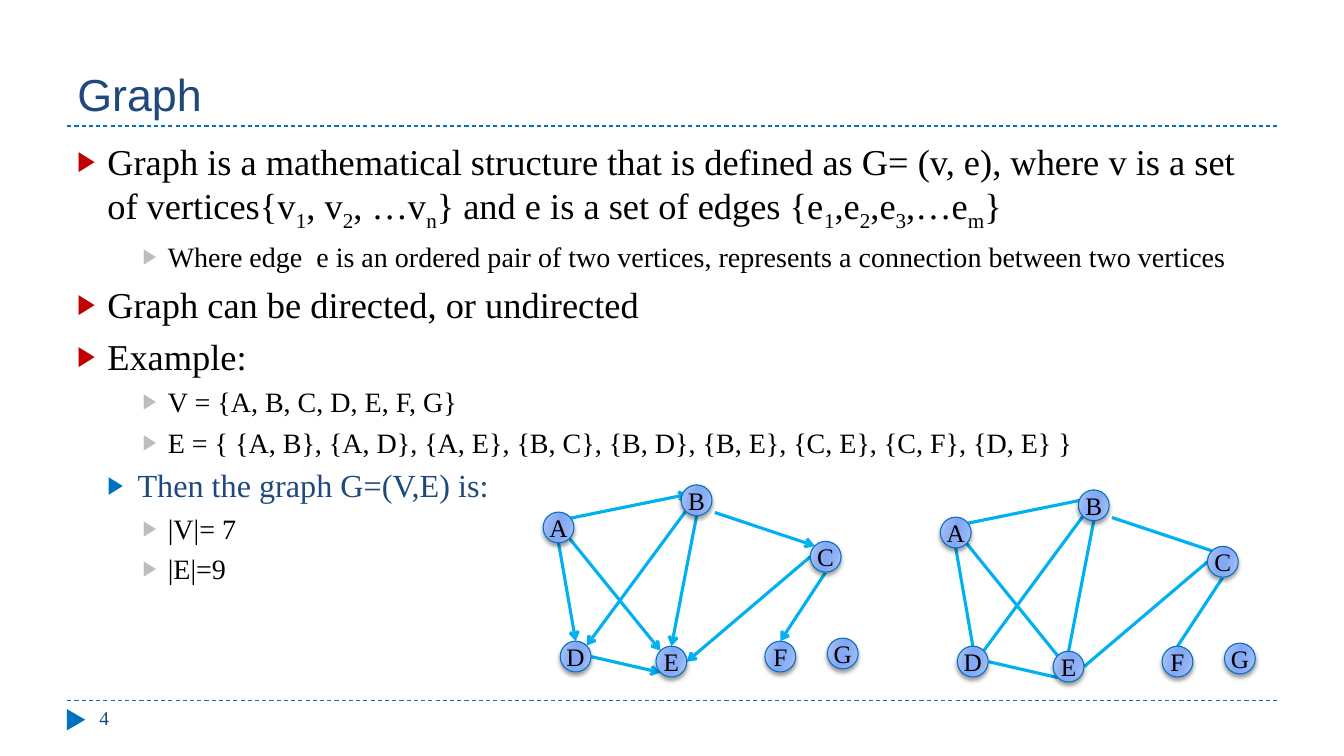
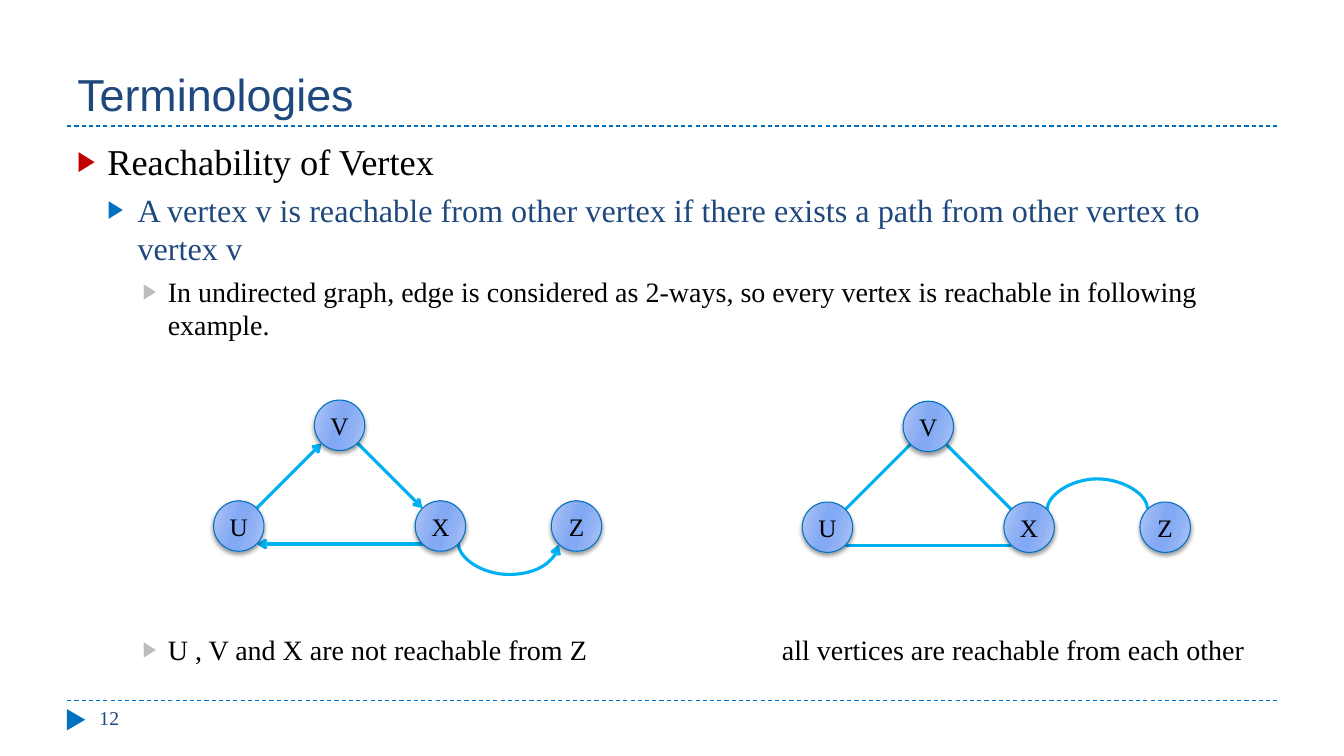
from collections import namedtuple
from dataclasses import dataclass

from lxml import etree
from pptx import Presentation
from pptx.dml.color import RGBColor
from pptx.enum.dml import MSO_LINE
from pptx.enum.shapes import MSO_CONNECTOR, MSO_SHAPE
from pptx.enum.text import MSO_ANCHOR, MSO_AUTO_SIZE, PP_ALIGN
from pptx.oxml.ns import qn
from pptx.util import Pt

STRAIGHT = MSO_CONNECTOR.STRAIGHT
CURVE = MSO_CONNECTOR.CURVE
OVAL = MSO_SHAPE.OVAL
TRIANGLE = MSO_SHAPE.ISOSCELES_TRIANGLE
DASH = MSO_LINE.DASH
LEFT = PP_ALIGN.LEFT
CENTER = PP_ALIGN.CENTER
TOP = MSO_ANCHOR.TOP
MIDDLE = MSO_ANCHOR.MIDDLE
BOTTOM = MSO_ANCHOR.BOTTOM
NO_AUTOFIT = MSO_AUTO_SIZE.NONE

Box = namedtuple("Box", "left top width height")
Level = namedtuple("Level", "size color bullet indent hang before")


@dataclass(frozen=True)
class Theme:
    heading_font: str = "Arial"
    body_font: str = "Times New Roman"
    navy: str = "1F497D"
    blue: str = "0070C0"
    edge: str = "00B0F0"
    black: str = "000000"
    title_size: int = 32
    node_size: int = 18
    number_size: int = 14
    hairline: float = 0.75
    edge_width: float = 2.25
    node_stops: tuple = ((0, "B4C9F6"), (30, "90B1F4"), (45, "83A9F4"),
                         (55, "83A9F4"), (73, "90B1F4"), (100, "B4C9F6"))
    levels: tuple = (Level(26, "000000", "C00000", 21.6, 21.6, 6),
                     Level(23, "1F497D", "0070C0", 43.2, 21.6, 5),
                     Level(20, "000000", "BDBDBD", 64.8, 18, 5))


THEME = Theme()
PAGE = Box(0, 0, 960, 540)
TITLE = Box(48, 12, 864, 78)
BODY = Box(48, 96, 864, 388)
FOOTER = Box(48, 500.4, 864, 28.8)

UP, DOWN, WEST, EAST = (0, -1), (0, 1), (-1, 0), (1, 0)
UP_LEFT, UP_RIGHT = (-0.71, -0.71), (0.71, -0.71)
DOWN_LEFT, DOWN_RIGHT = (-0.71, 0.71), (0.71, 0.71)

EXAMPLE_NODES = {"A": (0, 19.4), "B": (98.6, 0), "C": (190.8, 40.3), "D": (12.2, 111.6),
                 "E": (80.6, 115.2), "F": (158.4, 111.6), "G": (203, 109.4)}
EXAMPLE_EDGES = (("A", (0, -0.45), "B", (-0.53, -0.4)), ("A", DOWN_RIGHT, "E", UP_LEFT),
                 ("A", DOWN, "D", UP), ("B", (1.18, 0.79), "C", UP_LEFT),
                 ("B", DOWN, "E", UP), ("B", DOWN_LEFT, "D", UP_RIGHT),
                 ("C", WEST, "E", EAST), ("C", DOWN, "F", UP), ("D", EAST, "E", DOWN_LEFT))
REACH_NODES = {"X": (144, 72), "U": (0, 72), "V": (72, 0), "Z": (241.2, 72)}
REACH_EDGES = (("U", UP_RIGHT, "V", DOWN_LEFT), ("X", DOWN_LEFT, "U", DOWN_RIGHT),
               ("V", DOWN_RIGHT, "X", UP_LEFT))


def points(*lengths):
    return [Pt(length) for length in lengths]


def rgb(color):
    return RGBColor.from_string(color)


def add_xml(parent, tag, **attributes):
    child = etree.SubElement(parent, qn(tag))
    for name, value in attributes.items():
        child.set(name, str(value))
    return child


def format_spans(para, size, color, font=THEME.body_font):
    for span in para.runs:
        span.font.size = Pt(size)
        span.font.name = font
        span.font.color.rgb = rgb(color)


def add_text(page, box):
    frame = page.shapes.add_textbox(*points(*box)).text_frame
    frame.word_wrap = True
    frame.vertical_anchor = TOP
    return frame


def format_line(line, color, width):
    line.color.rgb = rgb(color)
    line.width = Pt(width)


def add_line(shapes, kind, begin, end, color, width, arrow=False):
    line = shapes.add_connector(kind, *points(*begin, *end))
    format_line(line.line, color, width)
    properties = line._element.spPr
    if arrow:
        add_xml(properties.find(qn("a:ln")), "a:tailEnd", type="arrow")
    add_xml(properties, "a:effectLst")
    return line


def add_arc(shapes, begin, end, sag, arrow):
    thickness = 1
    span = end[0] - begin[0]
    left = (begin[0] + end[0] - thickness) / 2
    top = begin[1] - span / 2
    arc = add_line(shapes, CURVE, (left, top), (left + thickness, top + span),
                   THEME.edge, THEME.edge_width, arrow)
    properties = arc._element.spPr
    transform = properties.find(qn("a:xfrm"))
    transform.set("flipH", "1")
    transform.set("rot", str((270 if sag > 0 else 90) * 60000))
    if sag < 0:
        transform.set("flipV", "1")
    guides = properties.find(qn("a:prstGeom")).find(qn("a:avLst"))
    bend = round(abs(sag) / thickness * 100000)
    add_xml(guides, "a:gd", name="adj1", fmla=f"val {bend}")


def fill_node(node):
    node.fill.gradient()
    gradient = node._element.spPr.find(qn("a:gradFill"))
    stops = gradient.find(qn("a:gsLst"))
    for stop in list(stops):
        stops.remove(stop)
    for position, color in THEME.node_stops:
        add_xml(add_xml(stops, "a:gs", pos=position * 1000), "a:srgbClr", val=color)
    gradient.find(qn("a:lin")).set("ang", str(16 * 60000))


def add_node(shapes, label, box):
    node = shapes.add_shape(OVAL, *points(*box))
    fill_node(node)
    format_line(node.line, THEME.blue, THEME.hairline)
    node.shadow.inherit = False
    effects = node._element.spPr.find(qn("a:effectLst"))
    shadow = add_xml(effects, "a:outerShdw", blurRad=Pt(3), dist=Pt(2),
                     dir=90 * 60000, rotWithShape=0)
    add_xml(add_xml(shadow, "a:srgbClr", val=THEME.black), "a:alpha", val=40000)
    frame = node.text_frame
    frame.word_wrap = False
    frame.vertical_anchor = MIDDLE
    frame.text = label
    frame.paragraphs[0].alignment = CENTER
    format_spans(frame.paragraphs[0], THEME.node_size, THEME.black)


def add_graph(page, origin, nodes, edges, diameter, directed, arc=None):
    shapes = page.shapes.add_group_shape().shapes
    radius = diameter / 2

    def rim(name, site):
        return [start + offset + radius * (1 + direction)
                for start, offset, direction in zip(origin, nodes[name], site)]

    for source, leaving, target, entering in edges:
        add_line(shapes, STRAIGHT, rim(source, leaving), rim(target, entering),
                 THEME.edge, THEME.edge_width, directed)
    if arc:
        source, leaving, target, entering, sag = arc
        add_arc(shapes, rim(source, leaving), rim(target, entering), sag, directed)
    for label, (x, y) in nodes.items():
        add_node(shapes, label, Box(origin[0] + x, origin[1] + y, diameter, diameter))


def add_bullet(para, level, first):
    properties = para._p.get_or_add_pPr()
    properties.set("marL", str(Pt(level.indent)))
    properties.set("indent", str(Pt(-level.hang)))
    para.space_before = Pt(0 if first else level.before)
    add_xml(add_xml(properties, "a:buClr"), "a:srgbClr", val=level.bullet)
    add_xml(properties, "a:buSzPct", val=76000)
    add_xml(properties, "a:buFont", typeface=THEME.heading_font)
    add_xml(properties, "a:buChar", char="▶")


def add_bullets(page, box, items):
    frame = add_text(page, box)
    for index, (depth, text) in enumerate(items):
        para = frame.paragraphs[0] if index == 0 else frame.add_paragraph()
        level = THEME.levels[depth]
        add_bullet(para, level, index == 0)
        for place, piece in enumerate(text.split("~")):
            span = para.add_run()
            span.text = piece
            if place % 2:
                span._r.get_or_add_rPr().set("baseline", "-25000")
        format_spans(para, level.size, level.color)


def add_title(page, box, text):
    title = page.shapes.title
    title.left, title.top, title.width, title.height = points(*box)
    frame = title.text_frame
    frame.text = text
    frame.auto_size = NO_AUTOFIT
    frame.vertical_anchor = BOTTOM
    frame.paragraphs[0].alignment = LEFT
    format_spans(frame.paragraphs[0], THEME.title_size, THEME.navy, THEME.heading_font)


def add_rule(page, box, y):
    rule = add_line(page.shapes, STRAIGHT, (box.left, y), (box.left + box.width, y),
                    THEME.blue, THEME.hairline)
    rule.line.dash_style = DASH


def add_footer(page, box, number):
    add_rule(page, box, box.top)
    marker = page.shapes.add_shape(
        TRIANGLE, *points(box.left - 1.2, box.top + 7.2, 15.1, 13))
    marker.rotation = 90
    marker.fill.solid()
    marker.fill.fore_color.rgb = rgb(THEME.blue)
    marker.line.fill.background()
    marker.shadow.inherit = False
    frame = add_text(page, Box(box.left + 16, box.top, 208, box.height))
    frame.text = str(number)
    format_spans(frame.paragraphs[0], THEME.number_size, THEME.navy)


def add_page(deck, title, number):
    page = deck.slides.add_slide(deck.slide_layouts[5])
    add_title(page, TITLE, title)
    add_rule(page, TITLE, TITLE.top + TITLE.height)
    add_footer(page, FOOTER, number)
    return page


def add_graph_page(deck):
    page = add_page(deck, "Graph", 4)
    add_bullets(page, BODY, (
        (0, "Graph is a mathematical structure that is defined as G= (v, e), where v is a set "
            "of vertices{v~1~, v~2~, …v~n~} and e is a set of edges {e~1~,e~2~,e~3~,…e~m~}"),
        (2, "Where edge  e is an ordered pair of two vertices, "
            "represents a connection between two vertices"),
        (0, "Graph can be directed, or undirected"),
        (0, "Example:"),
        (2, "V = {A, B, C, D, E, F, G}"),
        (2, "E = { {A, B}, {A, D}, {A, E}, {B, C}, {B, D}, {B, E}, {C, E}, {C, F}, {D, E} }"),
        (1, "Then the graph G=(V,E) is:"),
        (2, "|V|= 7"),
        (2, "|E|=9")))
    for x, y, directed in ((340, 250.4, True), (623.7, 254, False)):
        add_graph(page, (BODY.left + x, BODY.top + y),
                  EXAMPLE_NODES, EXAMPLE_EDGES, 22, directed)


def add_terms_page(deck):
    page = add_page(deck, "Terminologies", 12)
    add_bullets(page, BODY._replace(height=160), (
        (0, "Reachability of Vertex"),
        (1, "A vertex v is reachable from other vertex if there exists a path "
            "from other vertex to vertex v"),
        (2, "In undirected graph, edge is considered as 2-ways, so every vertex "
            "is reachable in following example.")))
    directed_arc = ("X", DOWN_RIGHT, "Z", DOWN_LEFT, 22.4)
    undirected_arc = ("X", UP_RIGHT, "Z", UP_LEFT, -22.4)
    for x, y, directed, arc in ((104.6, 189.8, True, directed_arc),
                                (525.1, 190.6, False, undirected_arc)):
        add_graph(page, (BODY.left + x, BODY.top + y),
                  REACH_NODES, REACH_EDGES, 36, directed, arc)
    caption = Box(BODY.left, BODY.top + 352, 440, 32)
    add_bullets(page, caption, ((2, "U , V and X are not reachable from Z"),))
    frame = add_text(page, caption._replace(left=551.4, width=360.6))
    frame.text = "all vertices are reachable from each other"
    format_spans(frame.paragraphs[0], THEME.levels[2].size, THEME.black)


def main():
    deck = Presentation()
    deck.slide_width, deck.slide_height = points(PAGE.width, PAGE.height)
    add_graph_page(deck)
    add_terms_page(deck)
    deck.save("out.pptx")


if __name__ == "__main__":
    main()
